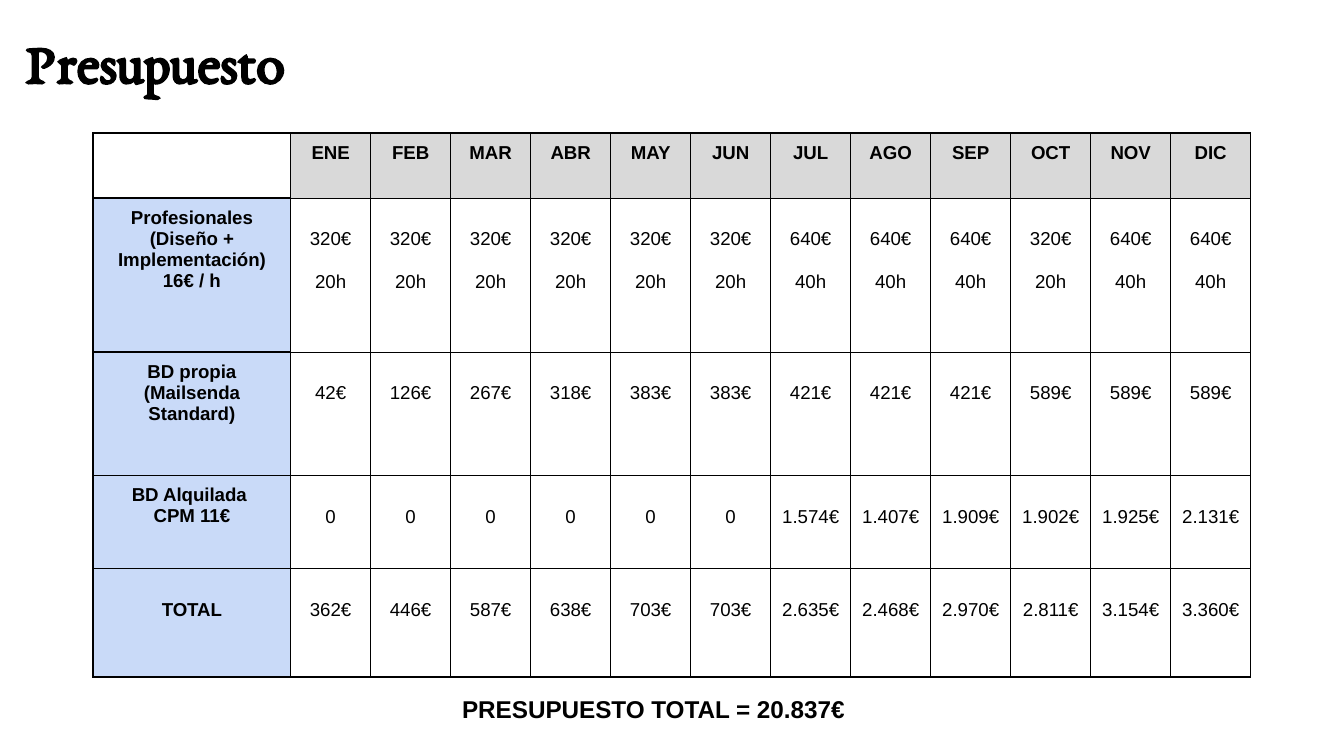
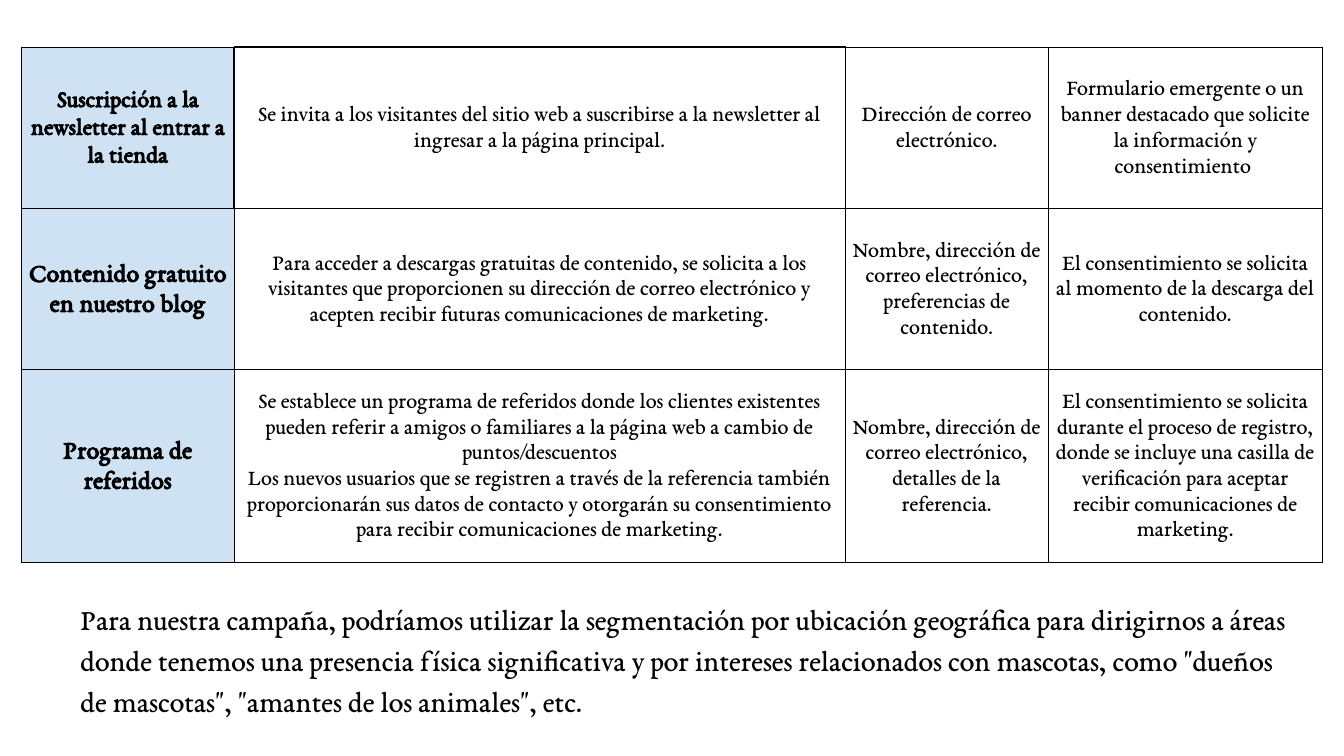
import pptx
import pptx.dml.color
import pptx.enum.text
import pptx.oxml
import pptx.oxml.ns
import pptx.util

Pt = pptx.util.Pt
RGBColor = pptx.dml.color.RGBColor
ALIGN = pptx.enum.text.PP_ALIGN
ANCHOR = pptx.enum.text.MSO_ANCHOR

BLACK = RGBColor(0x00, 0x00, 0x00)
HEADER_GREY = RGBColor(0xD9, 0xD9, 0xD9)
LABEL_BLUE = RGBColor(0xC9, 0xDA, 0xF8)
SOURCE_BLUE = RGBColor(0xCF, 0xE2, 0xF3)

SANS = "Arial"
SERIF = "EB Garamond"
TITLE = {"name": SERIF, "size": Pt(31), "bold": True}
BUDGET_LABEL = {"name": SANS, "size": Pt(10), "bold": True}
BUDGET_VALUE = {"name": SANS, "size": Pt(10), "bold": False}
BUDGET_SUM = {"name": SANS, "size": Pt(13), "bold": True}
SOURCE_TEXT = {"name": SERIF, "size": Pt(12), "bold": False}
SEGMENT_TEXT = {"name": SERIF, "size": Pt(16), "bold": False}

BOX_MARGIN = 7.2
CELL_MARGIN = 5.2
BLANK_LINE = 11.4
LOOSE = 1.15

MONTHS = "ENE FEB MAR ABR MAY JUN JUL AGO SEP OCT NOV DIC".split()
HOURS = [20] * 6 + [40] * 3 + [20] + [40] * 2
HOURLY_RATE = 16
BUDGET_ROWS = [
    ("Profesionales (Diseño + Implementación) 16€ / h",
     [f"{hours * HOURLY_RATE}€\n{hours}h" for hours in HOURS]),
    ("BD propia (Mailsenda Standard)",
     "42€ 126€ 267€ 318€ 383€ 383€ 421€ 421€ 421€ 589€ 589€ 589€".split()),
    ("BD Alquilada \nCPM 11€",
     "0 0 0 0 0 0 1.574€ 1.407€ 1.909€ 1.902€ 1.925€ 2.131€".split()),
    ("TOTAL",
     "362€ 446€ 587€ 638€ 703€ 703€ 2.635€ 2.468€ 2.970€ 2.811€ 3.154€ 3.360€".split()),
]
SOURCE_ROWS = [
    ("Suscripción a la newsletter al entrar a la tienda",
     "Se invita a los visitantes del sitio web a suscribirse a la newsletter al "
     "ingresar a la página principal.",
     "Dirección de correo electrónico.",
     "Formulario emergente o un banner destacado que solicite la información y "
     "consentimiento "),
    ("Contenido gratuito en nuestro blog",
     "Para acceder a descargas gratuitas de contenido, se solicita a los visitantes "
     "que proporcionen su dirección de correo electrónico y acepten recibir futuras "
     "comunicaciones de marketing.",
     "Nombre, dirección de correo electrónico, preferencias de contenido.",
     "El consentimiento se solicita al momento de la descarga del contenido."),
    ("Programa de referidos",
     "Se establece un programa de referidos donde los clientes existentes pueden "
     "referir a amigos o familiares a la página web a cambio de puntos/descuentos\n"
     "Los nuevos usuarios que se registren a través de la referencia también "
     "proporcionarán sus datos de contacto y otorgarán su consentimiento para "
     "recibir comunicaciones de marketing.",
     "Nombre, dirección de correo electrónico, detalles de la referencia.",
     "El consentimiento se solicita durante el proceso de registro, donde se incluye "
     "una casilla de verificación para aceptar recibir comunicaciones de marketing."),
]
SEGMENTATION = (
    "Para nuestra campaña, podríamos utilizar la segmentación por ubicación geográfica "
    "para dirigirnos a áreas donde tenemos una presencia física significativa y por "
    "intereses relacionados con mascotas, como \"dueños de mascotas\", \"amantes de los "
    "animales\", etc."
)


def set_attributes(target, values):
    """Set every attribute of the target named in the values."""
    for name, value in values.items():
        setattr(target, name, value)


def write_text(frame, text, font, align=ALIGN.CENTER, spacing=1.0, gap=0):
    """Write one paragraph per line of text, with a gap between paragraphs."""
    for index, line in enumerate(text.split("\n")):
        paragraph = frame.add_paragraph() if index else frame.paragraphs[0]
        set_attributes(paragraph, {"alignment": align, "line_spacing": spacing,
                                   "space_before": Pt(gap if index else 0)})
        run = paragraph.add_run()
        run.text = line
        set_attributes(run.font, font)
        run.font.color.rgb = BLACK


def set_margins(target, margin):
    """Give a frame or cell the same margin on each side."""
    set_attributes(target, {f"margin_{side}": Pt(margin)
                            for side in ("left", "top", "right", "bottom")})


def format_box(shape):
    """Set the shared frame properties of titles and text boxes."""
    frame = shape.text_frame
    set_margins(frame, BOX_MARGIN)
    set_attributes(frame, {"word_wrap": True, "vertical_anchor": ANCHOR.TOP,
                           "auto_size": pptx.enum.text.MSO_AUTO_SIZE.NONE})
    return frame


def add_title(slide, text):
    """Fill and place the title placeholder."""
    title = slide.shapes.title
    set_attributes(title, {"left": Pt(6.5), "top": Pt(6.5),
                           "width": Pt(687), "height": Pt(50.4)})
    write_text(format_box(title), text, TITLE, ALIGN.LEFT)


def add_text_box(slide, bounds, text, font, align, indent=0):
    """Add a wrapped text box with a left indent."""
    shape = slide.shapes.add_textbox(*map(Pt, bounds))
    frame = format_box(shape)
    write_text(frame, text, font, align, LOOSE)
    if indent:
        properties = frame.paragraphs[0]._p.get_or_add_pPr()
        properties.set("marL", str(Pt(indent)))
        properties.set("indent", "0")


def add_table(slide, left, top, widths, heights):
    """Add an unbanded table with the given column widths and row heights."""
    frame = slide.shapes.add_table(len(heights), len(widths), Pt(left), Pt(top),
                                   Pt(sum(widths)), Pt(sum(heights)))
    table = frame.table
    set_attributes(table, {"first_row": False, "horz_banding": False})
    for column, width in zip(table.columns, widths):
        column.width = Pt(width)
    for row, height in zip(table.rows, heights):
        row.height = Pt(height)
    return table


def format_cell(cell, margin, line_width, fill=None):
    """Set the margins, black borders and fill of a cell."""
    set_margins(cell, margin)
    properties = cell._tc.get_or_add_tcPr()
    for side in "LRTB":
        properties.append(pptx.oxml.parse_xml(
            f'<a:ln{side} {pptx.oxml.ns.nsdecls("a")} w="{Pt(line_width)}">'
            f'<a:solidFill><a:srgbClr val="{BLACK}"/></a:solidFill></a:ln{side}>'))
    if fill is None:
        cell.fill.background()
    else:
        cell.fill.solid()
        cell.fill.fore_color.rgb = fill


def add_budget_table(slide):
    """Add the monthly budget table."""
    table = add_table(slide, 49.9, 71.2, [105.8] + [42.87] * len(MONTHS),
                      [35, 82.5, 66, 50, 58])
    format_cell(table.cell(0, 0), CELL_MARGIN, 1)
    for column, month in enumerate(MONTHS, 1):
        cell = table.cell(0, column)
        format_cell(cell, CELL_MARGIN, 0.75, HEADER_GREY)
        write_text(cell.text_frame, month, BUDGET_LABEL)
    for row, (label, values) in enumerate(BUDGET_ROWS, 1):
        for column, text in enumerate([label, *values]):
            cell = table.cell(row, column)
            is_label = column == 0
            format_cell(cell, CELL_MARGIN, 1 if is_label else 0.75,
                        LABEL_BLUE if is_label else None)
            if not is_label or label == "TOTAL":
                cell.margin_top = Pt(CELL_MARGIN + BLANK_LINE)
            write_text(cell.text_frame, text,
                       BUDGET_LABEL if is_label else BUDGET_VALUE,
                       gap=0 if is_label else BLANK_LINE)


def add_source_table(slide):
    """Add the table of ways to collect contacts."""
    table = add_table(slide, 11.5, 25.2, [113.9, 327.4, 108.8, 146.8],
                      [86.4, 86.4, 103.2])
    for row, texts in enumerate(SOURCE_ROWS):
        for column, text in enumerate(texts):
            cell = table.cell(row, column)
            is_label = column == 0
            format_cell(cell, 2.25, 0.75 if (row, column) == (0, 1) else 0.6,
                        SOURCE_BLUE if is_label else None)
            cell.vertical_anchor = ANCHOR.MIDDLE
            font = SOURCE_TEXT
            if is_label:
                font = {**SOURCE_TEXT, "bold": True, "size": Pt(14 if row else 13)}
            write_text(cell.text_frame, text, font, spacing=LOOSE)


def main():
    """Build the two slides and save them."""
    presentation = pptx.Presentation()
    set_attributes(presentation, {"slide_width": Pt(720), "slide_height": Pt(405)})
    title_only, blank = presentation.slide_layouts[5], presentation.slide_layouts[6]

    slide = presentation.slides.add_slide(title_only)
    add_title(slide, "Presupuesto")
    add_budget_table(slide)
    add_text_box(slide, (231.8, 362.2, 236.2, 30.2), "PRESUPUESTO TOTAL = 20.837€",
                 BUDGET_SUM, ALIGN.CENTER)

    slide = presentation.slides.add_slide(blank)
    add_source_table(slide)
    add_text_box(slide, (0, 311.8, 697, 78.5), SEGMENTATION, SEGMENT_TEXT,
                 ALIGN.LEFT, indent=36)

    presentation.save("out.pptx")


if __name__ == "__main__":
    main()
